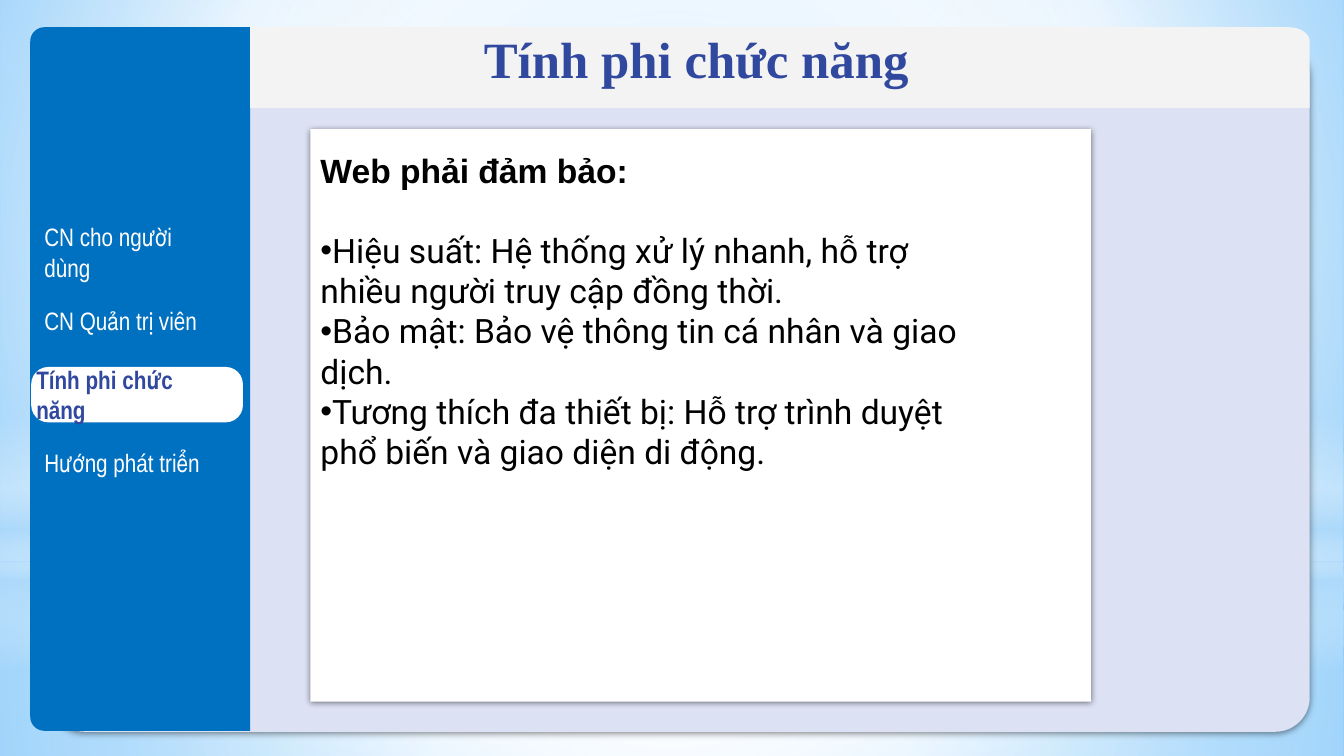
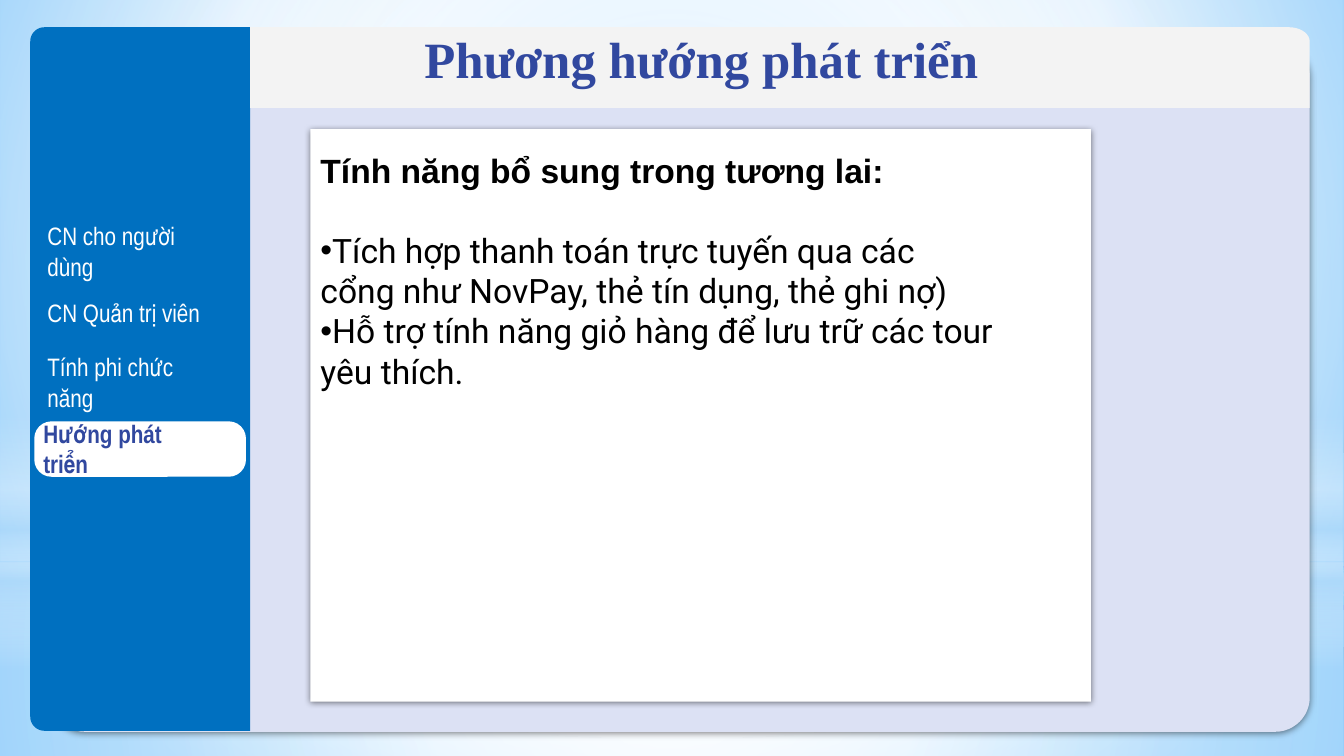
from math import cos, radians, sin

from pptx import Presentation
from pptx.dml.color import RGBColor
from pptx.enum.shapes import MSO_SHAPE as SHAPE
from pptx.enum.text import MSO_ANCHOR as ANCHOR
from pptx.oxml import parse_xml
from pptx.oxml.ns import nsdecls, qn
from pptx.util import Pt

PX = 9144  # 100 px to the inch
COLORS = {
    "panel": "DCE1F4", "sidebar": "0070C0", "header": "F3F3F3", "white": "FFFFFF",
    "accent": "31489F", "text": "000000", "haze": "B4DCFA",
    "sky": "9ED5FF", "deep_sky": "5BB9FF",
}
CENTER = (50, 50, 50, 50)
NAV_LABELS = ["CN cho người dùng", "CN Quản trị viên", "Tính phi chức năng", "Hướng phát triển"]
NAV_WIDTH, NAV_HEIGHT = 192, 54

# Stops are (position %, colour, opacity %)
SKY_STOPS = [(0, "sky", 100), (60, "white", 100), (100, "deep_sky", 100)]
BACKDROP = [  # shape, bounds, stops, angle (None for radial)
    (SHAPE.RECTANGLE, (0, 558, 1333, 192),
     [(0, "white", 91), (37, "white", 76), (100, "haze", 79)], None),
    (SHAPE.RECTANGLE, (0, 0, 1333, 558),
     [(0, "white", 89), (48, "white", 62), (100, "haze", 79)], None),
    (SHAPE.RECTANGLE, (0, 412, 1333, 250),
     [(0, "white", 0), (29, "white", 30), (45, "haze", 40),
      (55, "white", 26), (65, "haze", 60), (100, "white", 0)], 90),
    (SHAPE.OVAL, (0, 175, 1333, 558), [(0, "white", 100), (56, "white", 0)], None),
]

PAGES = [
    {
        "title": "Tính phi chức năng", "title_left": 470,
        "active": 2, "nav_left": 31, "active_left": 23, "nav_centers": [250, 318, 391, 459],
        "heading": "Web phải đảm bảo:",
        "bullets": [
            "Hiệu suất: Hệ thống xử lý nhanh, hỗ trợ nhiều người truy cập đồng thời.",
            "Bảo mật: Bảo vệ thông tin cá nhân và giao dịch.",
            "Tương thích đa thiết bị: Hỗ trợ trình duyệt phổ biến và giao diện di động.",
        ],
    },
    {
        "title": "Phương hướng phát triển", "title_left": 411,
        "active": 3, "nav_left": 34, "active_left": 30, "nav_centers": [249, 310, 379, 445],
        "heading": "Tính năng bổ sung trong tương lai:",
        "bullets": [
            "Tích hợp thanh toán trực tuyến qua các cổng như NovPay, thẻ tín dụng, thẻ ghi nợ)",
            "Hỗ trợ tính năng giỏ hàng để lưu trữ các tour yêu thích.",
        ],
    },
]


def emu(lengths):
    return [length * PX for length in lengths]


def rgb(name):
    return RGBColor.from_string(COLORS[name])


# Fills and effects
def set_gradient(fill, parent, stops, angle=None, focus=CENTER):
    fill.solid()
    stop_xml = "".join(
        f'<a:gs pos="{pos * 1000}"><a:srgbClr val="{COLORS[color]}">'
        f'<a:alpha val="{opacity * 1000}"/></a:srgbClr></a:gs>'
        for pos, color, opacity in stops)
    if angle is None:
        left, top, right, bottom = (side * 1000 for side in focus)
        course = (f'<a:path path="circle"><a:fillToRect l="{left}" t="{top}" '
                  f'r="{right}" b="{bottom}"/></a:path>')
    else:
        course = f'<a:lin ang="{angle * 60000}" scaled="0"/>'
    gradient = parse_xml(f'<a:gradFill {nsdecls("a")} rotWithShape="1">'
                         f'<a:gsLst>{stop_xml}</a:gsLst>{course}</a:gradFill>')
    parent.replace(parent.find(qn("a:solidFill")), gradient)


def add_shadow(shape):
    effects = shape._element.spPr.find(qn("a:effectLst"))
    effects.append(parse_xml(
        f'<a:outerShdw {nsdecls("a")} blurRad="{Pt(4.5)}" dist="{Pt(1.5)}" dir="5400000" '
        'algn="t" rotWithShape="0"><a:srgbClr val="000000"><a:alpha val="50000"/>'
        '</a:srgbClr></a:outerShdw>'))


def paint(shape, color):
    shape.shadow.inherit = False
    shape.line.fill.background()
    shape.fill.solid()
    shape.fill.fore_color.rgb = rgb(color)
    return shape


# Shapes
def add_block(page, kind, bounds, color, corner=None):
    block = paint(page.shapes.add_shape(kind, *emu(bounds)), color)
    if corner is not None:
        block.adjustments[0] = corner
    return block


def add_rounded_band(page, bounds, radii, color):
    """Radii are (rx, ry) for the corners, clockwise from the top left."""
    left, top, width, height = bounds
    right, bottom = left + width, top + height
    corners = [(left, top, 1, 1), (right, top, -1, 1),
               (right, bottom, -1, -1), (left, bottom, 1, -1)]
    points = []
    for index, ((x, y, to_x, to_y), (rx, ry)) in enumerate(zip(corners, radii)):
        for step in range(0, 91, 10) if rx else [0]:
            angle = radians(180 + 90 * index + step)
            points.append((round((x + rx * (to_x + cos(angle))) * PX),
                           round((y + ry * (to_y + sin(angle))) * PX)))
    builder = page.shapes.build_freeform(*points[0], scale=1.0)
    builder.add_line_segments(points[1:], close=True)
    return paint(builder.convert_to_shape(), color)


# Text
def style_text(para, font, size, color, bold=False):
    for span in para.runs:
        span.font.name = font
        span.font.size = Pt(size)
        span.font.bold = bold
        span.font.color.rgb = rgb(color)


def add_text_frame(page, bounds, anchor=ANCHOR.MIDDLE, inset=None):
    frame = page.shapes.add_textbox(*emu(bounds)).text_frame
    frame.word_wrap = True
    frame.vertical_anchor = anchor
    if inset is not None:
        frame.margin_left = frame.margin_right = inset * PX
        frame.margin_top = frame.margin_bottom = inset * PX
    return frame


def add_title(page, text, left):
    frame = add_text_frame(page, (left, 38, 608, 54))
    frame.text = text
    frame.paragraphs[0].line_spacing = 0.7
    style_text(frame.paragraphs[0], "Times New Roman", 36.3, "accent", bold=True)


def add_navigation(page, content):
    for index, (label, center) in enumerate(zip(NAV_LABELS, content["nav_centers"])):
        active = index == content["active"]
        top = center - NAV_HEIGHT // 2
        if active:
            add_block(page, SHAPE.ROUNDED_RECTANGLE,
                      (content["nav_left"], top, 210, 55), "white", corner=0.31)
        left = content["active_left" if active else "nav_left"]
        frame = add_text_frame(page, (left, top, NAV_WIDTH, NAV_HEIGHT), inset=13)
        frame.text = label
        style_text(frame.paragraphs[0], "Arial Narrow", 18,
                   "accent" if active else "white", bold=active)


def add_card(page, heading, bullets):
    add_shadow(add_block(page, SHAPE.RECTANGLE, (308, 128, 774, 568), "white"))
    frame = add_text_frame(page, (308, 144, 689, 333), anchor=ANCHOR.TOP)
    frame.text = heading
    frame.paragraphs[0].space_after = Pt(28)
    style_text(frame.paragraphs[0], "Arial", 24, "text", bold=True)
    for bullet in bullets:
        para = frame.add_paragraph()
        para.text = bullet
        style_text(para, "Roboto", 24, "text")
        properties = para._p.get_or_add_pPr()
        properties.append(parse_xml(f'<a:buFont {nsdecls("a")} typeface="Arial"/>'))
        properties.append(parse_xml(f'<a:buChar {nsdecls("a")} char="•"/>'))


# Shared page frame
def set_sky(master):
    fill = master.background.fill
    set_gradient(fill, master._element.find(".//" + qn("p:bgPr")), SKY_STOPS,
                 focus=(20, 10, 20, 60))


def add_frame(page):
    for kind, bounds, stops, angle in BACKDROP:
        glow = add_block(page, kind, bounds, "white")
        set_gradient(glow.fill, glow._element.spPr, stops, angle)
    add_shadow(add_block(page, SHAPE.ROUNDED_RECTANGLE, (50, 42, 1249, 684),
                         "panel", corner=0.05))
    square, rounded = (0, 0), (14, 14)
    add_rounded_band(page, (30, 27, 218, 698), [rounded, square, square, rounded], "sidebar")
    add_rounded_band(page, (248, 27, 1051, 80), [square, (21, 14), square, square], "header")


def main():
    deck = Presentation()
    deck.slide_width, deck.slide_height = emu((1333, 750))
    set_sky(deck.slide_master)
    for content in PAGES:
        page = deck.slides.add_slide(deck.slide_layouts[6])
        add_frame(page)
        add_navigation(page, content)
        add_title(page, content["title"], content["title_left"])
        add_card(page, content["heading"], content["bullets"])
    deck.save("out.pptx")


if __name__ == "__main__":
    main()
